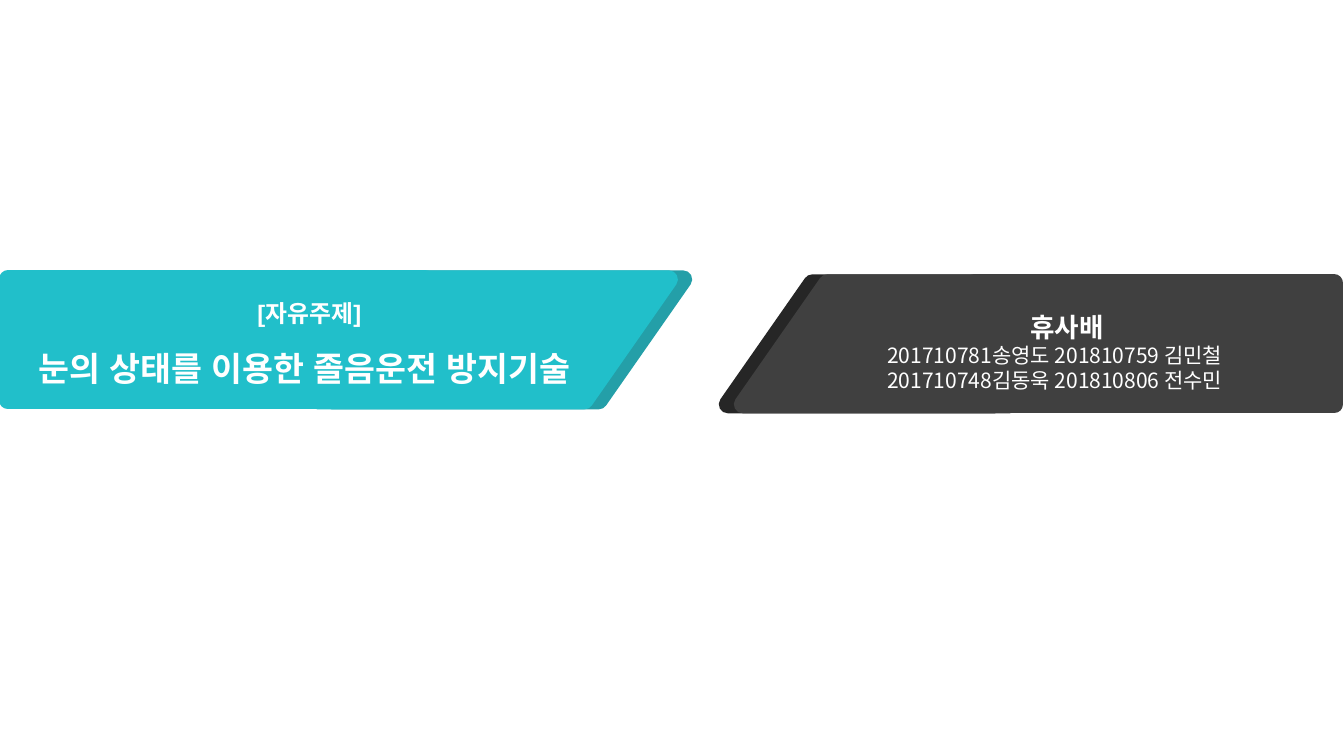
from dataclasses import dataclass

from lxml import etree
from pptx import Presentation
from pptx.dml.color import RGBColor
from pptx.enum.shapes import MSO_SHAPE
from pptx.enum.text import MSO_ANCHOR, MSO_AUTO_SIZE, PP_ALIGN
from pptx.oxml.ns import qn
from pptx.util import Cm, Pt

RECTANGLE = MSO_SHAPE.RECTANGLE
TOP = MSO_ANCHOR.TOP
GROW = MSO_AUTO_SIZE.SHAPE_TO_FIT_TEXT
CENTER, LEFT = PP_ALIGN.CENTER, PP_ALIGN.LEFT
TITLE_ONLY = 5


@dataclass(frozen=True)
class Theme:
    teal: str = "21BFCA"
    deep_teal: str = "249FA8"
    gray: str = "404040"
    black: str = "262626"
    white: str = "FFFFFF"
    title_font: str = "Arial"
    team_font: str = "Noto Sans CJK KR"
    topic_size: float = 17
    title_size: float = 24
    team_size: float = 19
    member_size: float = 15
    outline: float = 12.75


THEME = Theme()
BAND_HEIGHT = 3.05
SLANT_WIDTH = 8.86
SLANT_SHIFT = 2.13


def paint(shape, fill, line):
    shape.shadow.inherit = False
    shape.fill.solid()
    shape.fill.fore_color.rgb = RGBColor.from_string(fill)
    shape.line.color.rgb = RGBColor.from_string(line)
    shape.line.width = Pt(THEME.outline)
    etree.SubElement(shape.line._get_or_add_ln(), qn("a:round"))


def add_slant(page, left, top, fill, line):
    bottom, right = top + BAND_HEIGHT, left + SLANT_WIDTH
    corners = [(left + SLANT_SHIFT, top), (right, top), (right - SLANT_SHIFT, bottom)]
    builder = page.shapes.build_freeform(Cm(left), Cm(bottom), scale=1.0)
    builder.add_line_segments([(Cm(x), Cm(y)) for x, y in corners], close=True)
    paint(builder.convert_to_shape(), fill, line)


def add_band(page, left, top, width, color):
    band = page.shapes.add_shape(RECTANGLE, Cm(left), Cm(top), Cm(width), Cm(BAND_HEIGHT))
    paint(band, color, color)


def place(box, left, top, width, height):
    box.left, box.top, box.width, box.height = Cm(left), Cm(top), Cm(width), Cm(height)


def write(box, lines, font, wrap):
    frame = box.text_frame
    frame.text = "\n".join(line[0] for line in lines)
    frame.word_wrap = wrap
    frame.auto_size = GROW
    frame.vertical_anchor = TOP
    frame.margin_left = frame.margin_right = Cm(0.13)
    frame.margin_top = frame.margin_bottom = Cm(0.13)
    for para, (_, size, bold, align, spacing) in zip(frame.paragraphs, lines):
        para.alignment = align
        para.line_spacing = spacing
        for span in para.runs:
            span.font.size = Pt(size)
            span.font.bold = bold
            span.font.name = font
            span.font.color.rgb = RGBColor.from_string(THEME.white)
            east_asian = etree.Element(qn("a:ea"), typeface=font)
            span.font._element.find(qn("a:latin")).addnext(east_asian)


def add_title(page):
    title = page.shapes.title
    place(title, -0.79, 7.04, 17.17, 2.69)
    write(title, [
        ("[자유주제]", THEME.topic_size, True, CENTER, 1.5),
        ("눈의 상태를 이용한 졸음운전 방지기술 ", THEME.title_size, True, CENTER, 1.5),
    ], THEME.title_font, True)
    title.element.getparent().append(title.element)


def add_team(page):
    team = page.shapes.add_textbox(Cm(22.23), Cm(7.44), Cm(9.32), Cm(2.59))
    write(team, [
        ("휴사배", THEME.team_size, True, CENTER, Pt(30)),
        ("201710781송영도 201810759 김민철", THEME.member_size, False, LEFT, Pt(18)),
        ("201710748김동욱 201810806 전수민", THEME.member_size, False, LEFT, Pt(18)),
    ], THEME.team_font, False)


def main():
    deck = Presentation()
    deck.slide_width, deck.slide_height = Cm(33.87), Cm(19.05)
    page = deck.slides.add_slide(deck.slide_layouts[TITLE_ONLY])
    add_slant(page, 8.36, 7.04, THEME.teal, THEME.deep_teal)
    add_slant(page, 8, 7.04, THEME.teal, THEME.teal)
    add_band(page, 0.2, 7.04, 10.52, THEME.teal)
    add_slant(page, 18.34, 7.14, THEME.teal, THEME.black)
    add_slant(page, 18.72, 7.14, THEME.gray, THEME.gray)
    add_band(page, 24.56, 7.14, 9.07, THEME.gray)
    add_title(page)
    add_team(page)
    deck.save("out.pptx")


main()
